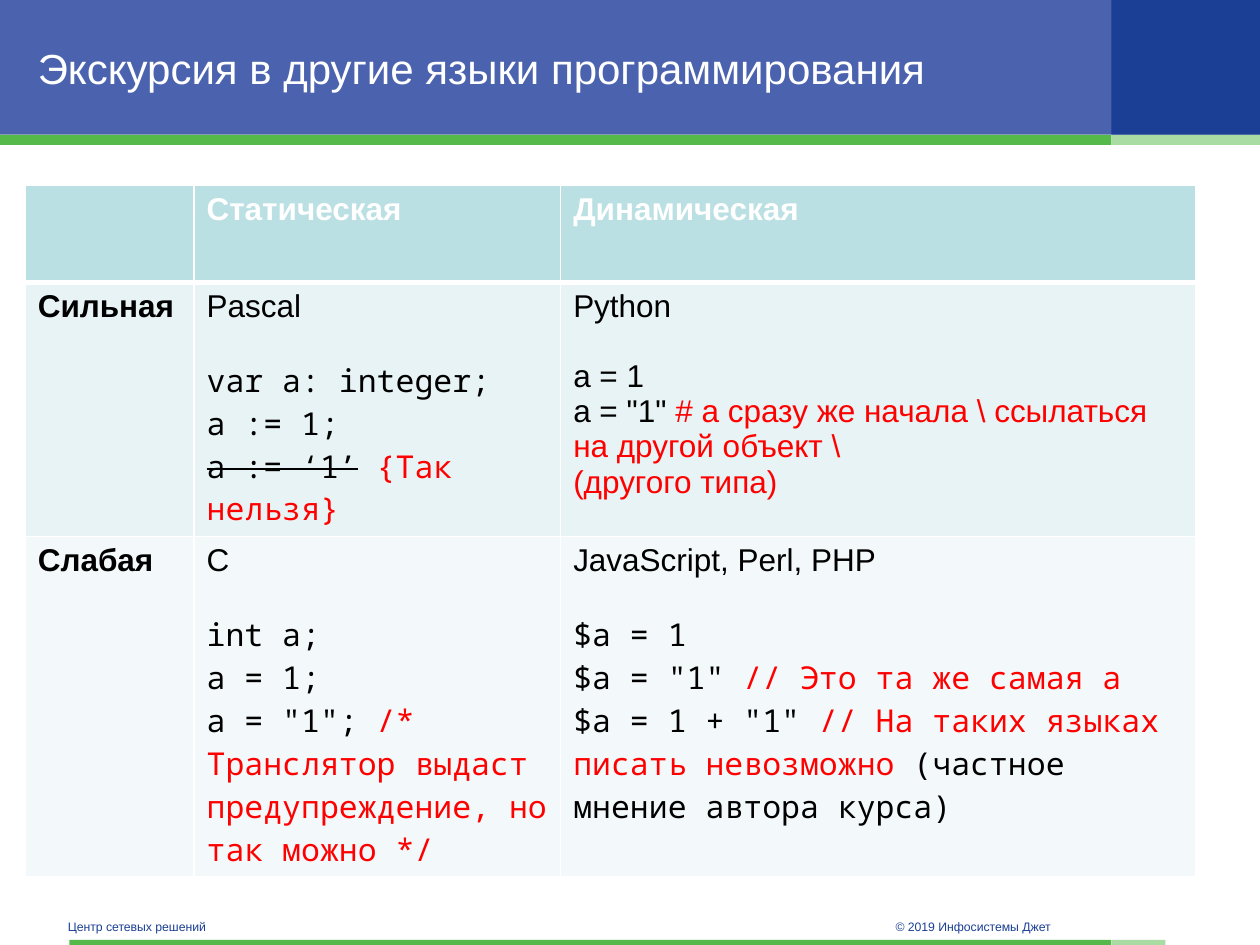
from lxml import etree
from pptx import Presentation
from pptx.dml.color import RGBColor
from pptx.enum.shapes import MSO_SHAPE
from pptx.enum.text import MSO_ANCHOR, PP_ALIGN
from pptx.oxml.ns import qn
from pptx.util import Inches, Pt

NAVY, GREEN, PALE_GREEN = "1B3F94", "54B948", "A9DCA3"
WHITE, BLACK, RED = "FFFFFF", "000000", "FF0000"
SANS, MONO = "Arial", "Noto Sans Mono"


def color(hex_text):
    return RGBColor.from_string(hex_text)


def add_run(paragraph, text, hex_text, **formats):
    run = paragraph.add_run()
    run.text = text
    run.font.color.rgb = color(hex_text)
    for name, value in formats.items():
        setattr(run.font, name, value)
    return run


presentation = Presentation()
presentation.slide_width, presentation.slide_height = Inches(10), Inches(7.5)
slide = presentation.slides.add_slide(presentation.slide_layouts[5])
title = slide.shapes.title

# Header and footer bands
bands = [
    (0, 0, 10, 1.07, "4B63AE"),
    (8.82, 0, 1.18, 1.07, NAVY),
    (0, 1.07, 8.82, 0.08, GREEN),
    (8.82, 1.07, 1.18, 0.08, PALE_GREEN),
    (0.55, 7.46, 8.27, 0.04, GREEN),
    (8.82, 7.46, 0.43, 0.04, PALE_GREEN),
]
for left, top, width, height, fill in bands:
    band = slide.shapes.add_shape(
        MSO_SHAPE.RECTANGLE, Inches(left), Inches(top), Inches(width), Inches(height))
    band.shadow.inherit = False
    band.fill.solid()
    band.fill.fore_color.rgb = color(fill)
    band.line.fill.background()

# Footer texts
for text, left, width in [("© 2019 Инфосистемы Джет", 7.01, 2.36),
                          ("Центр сетевых решений", 0.44, 3.3)]:
    footer = slide.shapes.add_textbox(Inches(left), Inches(7.24), Inches(width), Inches(0.22))
    frame = footer.text_frame
    frame.word_wrap = True
    frame.vertical_anchor = MSO_ANCHOR.MIDDLE
    add_run(frame.paragraphs[0], text, NAVY, name=SANS, size=Pt(7))

# Title, in front of the bands
title.element.getparent().append(title.element)
title.left, title.top, title.width, title.height = (
    Inches(0.2), Inches(0.14), Inches(8.43), Inches(0.79))
title.text_frame.vertical_anchor = MSO_ANCHOR.MIDDLE
title.text_frame.paragraphs[0].alignment = PP_ALIGN.LEFT
add_run(title.text_frame.paragraphs[0], "Экскурсия в другие языки программирования",
        WHITE, name=SANS, size=Pt(24))

# Each cell: heading, code font, code lines of (text, colour) pieces
rows = [
    [("", SANS, []), ("Статическая", SANS, []), ("Динамическая", SANS, [])],
    [("Сильная", SANS, []),
     ("Pascal", MONO, [
         [("var a: integer;", BLACK)],
         [("a := 1;", BLACK)],
         [("a := ‘1’", BLACK), (" ", BLACK), ("{Так нельзя}", RED)]]),
     ("Python", SANS, [
         [("a = 1", BLACK)],
         [("a = \"1\" ", BLACK),
          ("# a сразу же начала \\ ссылаться на другой объект \\", RED)],
         [("(другого типа)", RED)]])],
    [("Слабая", SANS, []),
     ("C", MONO, [
         [("int a;", BLACK)],
         [("a = 1;", BLACK)],
         [("a = \"1\"; ", BLACK),
          ("/* Транслятор выдаст предупреждение, но так можно */", RED)]]),
     ("JavaScript, Perl, PHP", MONO, [
         [("$a = 1", BLACK)],
         [("$a = \"1\" ", BLACK), ("// Это та же самая a", RED)],
         [("$a = 1 + \"1\" ", BLACK), ("// На таких языках писать невозможно ", RED),
          ("(частное мнение автора курса)", BLACK)]])],
]
row_fills = ["BBE0E3", "E7F3F4", "F3F9FA"]
row_heights = [0.77, 2.02, 2.69]
column_widths = [1.34, 2.91, 5.04]

table = slide.shapes.add_table(
    3, 3, Inches(0.2), Inches(1.47), Inches(sum(column_widths)), Inches(sum(row_heights))).table
for column, width in zip(table.columns, column_widths):
    column.width = Inches(width)
for row, height in zip(table.rows, row_heights):
    row.height = Inches(height)

for row_index, row in enumerate(rows):
    for column_index, (heading, code_font, code_lines) in enumerate(row):
        cell = table.cell(row_index, column_index)
        properties = cell._tc.get_or_add_tcPr()
        for side in ("lnL", "lnR", "lnT", "lnB"):
            thick = (row_index, side) in [(0, "lnB"), (1, "lnT")]
            border = etree.SubElement(properties, qn(f"a:{side}"), w=str(Pt(3 if thick else 1)))
            border_fill = etree.SubElement(border, qn("a:solidFill"))
            etree.SubElement(border_fill, qn("a:srgbClr"), val=WHITE)
        cell.fill.solid()
        cell.fill.fore_color.rgb = color(row_fills[row_index])

        frame = cell.text_frame
        if heading:
            add_run(frame.paragraphs[0], heading, BLACK if row_index else WHITE,
                    name=SANS, size=Pt(18), bold=row_index == 0 or column_index == 0)
        for line_index, pieces in enumerate(code_lines):
            paragraph = frame.add_paragraph()
            if line_index == 0:
                paragraph.space_before = Pt(20)
            for text, hex_text in pieces:
                run = add_run(paragraph, text, hex_text,
                              name=code_font, size=Pt(18), bold=False)
                if text == "a := ‘1’":
                    run._r.get_or_add_rPr().set("strike", "sngStrike")

presentation.save("out.pptx")
